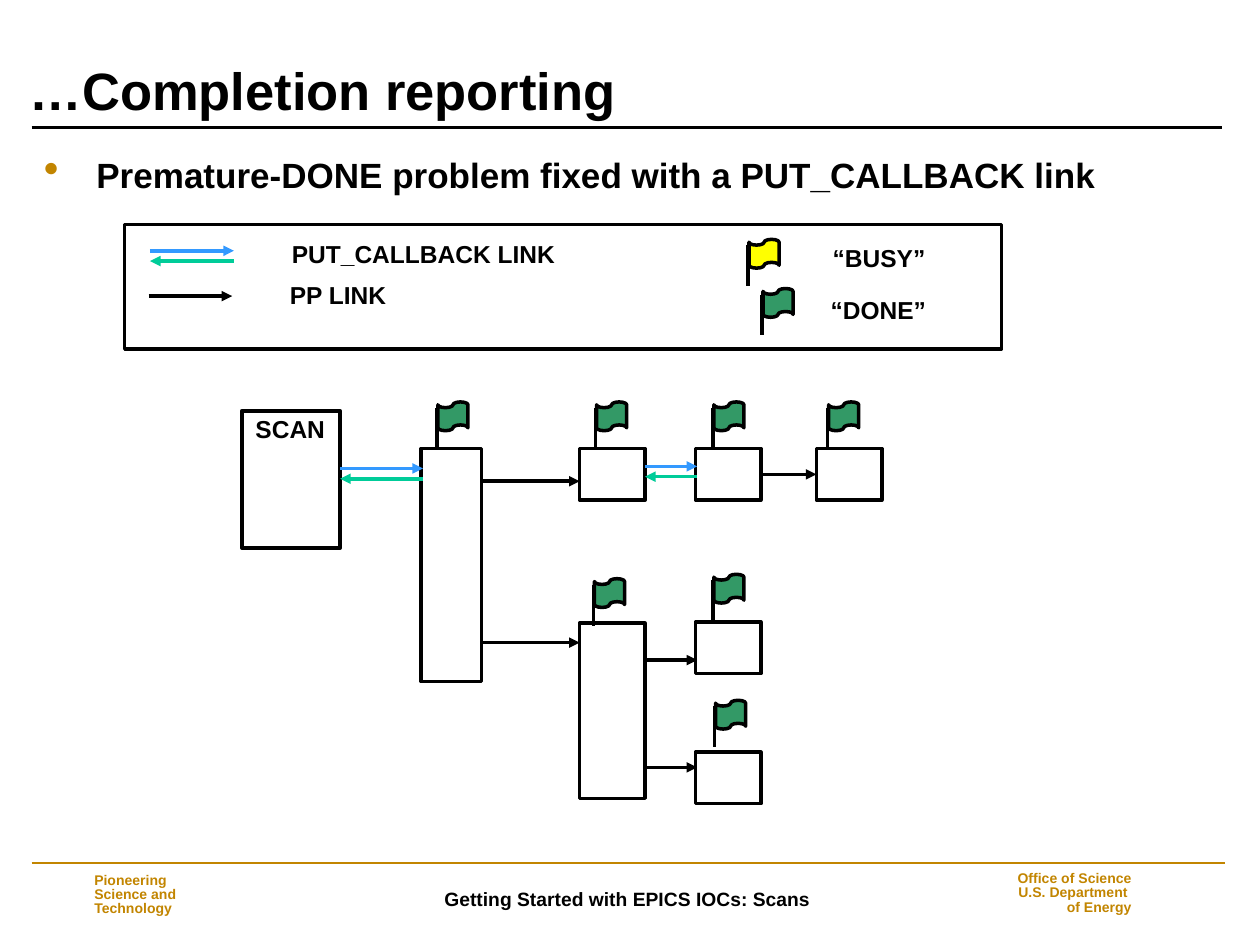
from lxml import etree
from pptx import Presentation
from pptx.dml.color import RGBColor
from pptx.enum import shapes, text
from pptx.oxml import ns
from pptx.util import Pt

BLACK = RGBColor(0x00, 0x00, 0x00)
GOLD = RGBColor(0xC2, 0x85, 0x00)
BLUE = RGBColor(0x33, 0x99, 0xFF)
TEAL = RGBColor(0x00, 0xCC, 0x99)
YELLOW = RGBColor(0xFF, 0xFF, 0x00)
GREEN = RGBColor(0x33, 0x99, 0x66)
ANCHOR = text.MSO_ANCHOR
ALIGN = text.PP_ALIGN
RIGHT_SIDE, LEFT_SIDE = 3, 1


def set_values(target, values):
    for name, value in values.items():
        setattr(target, name, value)


def add_child(parent, tag, **attributes):
    return etree.SubElement(parent, ns.qn(tag), attributes)


def add_bullet(paragraph):
    properties = paragraph._p.get_or_add_pPr()
    properties.set("marL", str(Pt(30)))
    properties.set("indent", str(Pt(-30)))
    color = add_child(properties, "a:buClr")
    add_child(color, "a:srgbClr", val=str(GOLD))
    add_child(properties, "a:buSzPct", val="125000")
    add_child(properties, "a:buChar", char="•")


def add_label(slide, box, lines, size, color=BLACK, anchor=ANCHOR.TOP,
              top_inset=3.6, bullet=False, **paragraph_format):
    label = slide.shapes.add_textbox(*map(Pt, box))
    frame = label.text_frame
    set_values(frame, {
        "word_wrap": True, "vertical_anchor": anchor, "margin_top": Pt(top_inset),
        "margin_bottom": Pt(3.6), "margin_left": Pt(7.2), "margin_right": Pt(7.2),
    })
    frame.text = lines
    for paragraph in frame.paragraphs:
        if bullet:
            add_bullet(paragraph)
        set_values(paragraph, paragraph_format)
        for run in paragraph.runs:
            set_values(run.font, {"name": "Arial", "size": Pt(size), "bold": True})
            run.font.color.rgb = color


def add_line(slide, start, end, color=BLACK, width=2, arrow=None):
    line = slide.shapes.add_connector(
        shapes.MSO_CONNECTOR.STRAIGHT, *map(Pt, (*start, *end)))
    line.line.color.rgb = color
    line.line.width = Pt(width)
    if arrow:
        add_child(line.line._get_or_add_ln(), arrow, type="triangle")
    add_child(line._element.spPr, "a:effectLst")
    return line


def add_arrow(slide, left, right, y, color=BLACK):
    return add_line(slide, (left, y), (right, y), color, arrow="a:tailEnd")


def add_callback_link(slide, left, right, y):
    add_arrow(slide, left, right, y, BLUE)
    add_line(slide, (left, y + 5.9), (right, y + 5.9), TEAL, arrow="a:headEnd")


def add_box(slide, box, fill=None, preset=shapes.MSO_SHAPE.RECTANGLE):
    shape = slide.shapes.add_shape(preset, *map(Pt, box))
    shape.shadow.inherit = False
    if fill is None:
        shape.fill.background()
    else:
        shape.fill.solid()
        shape.fill.fore_color.rgb = fill
    shape.line.color.rgb = BLACK
    shape.line.width = Pt(2)
    return shape


def add_flag(slide, left, top, color):
    add_box(slide, (left + 0.5, top, 17.2, 16.4), color,
            shapes.MSO_SHAPE.FLOWCHART_PUNCHED_TAPE)
    add_line(slide, (left, top + 3.4), (left, top + 26.8))


def add_heading(slide, left, top, width):
    add_label(slide, (left - 8, top, width + 9, 36), "…Completion reporting", 30,
              anchor=ANCHOR.BOTTOM, top_inset=0, line_spacing=0.9)
    add_line(slide, (left, top + 35.4), (left + width, top + 35.4), width=1.5)
    add_label(slide, (left, top + 46.8, width, 32),
              "Premature-DONE problem fixed with a PUT_CALLBACK link", 20, bullet=True)


def add_legend(slide, left, top, width, height):
    add_box(slide, (left, top, width, height))
    add_callback_link(slide, left + 14.4, left + 62.4, top + 15.1)
    add_arrow(slide, left + 13.6, left + 61.4, top + 41)
    add_flag(slide, left + 356.2, top + 8.6, YELLOW)
    add_flag(slide, left + 364.2, top + 36.7, GREEN)
    for x, y, label_width, label in (
        (88.4, 5, 188, "PUT_CALLBACK LINK"),
        (87.2, 28.3, 133, "PP LINK"),
        (397.4, 7.4, 76, "“BUSY”"),
        (396.2, 36.7, 76, "“DONE”"),
    ):
        add_label(slide, (left + x, top + y, label_width, 24.5), label, 14)


def add_record_chain(slide, left, top):
    scan_right = left + 56.2
    trunk, trunk_right = left + 102.5, left + 137
    first, second, third = left + 193, left + 259.2, left + 328.3
    record_width, record_height = 37.4, 29.5
    first_right, second_right = first + record_width, second + record_width
    row, branch_row, last_row = top + 21.6, top + 121.4, top + 195.1

    add_box(slide, (left, top, 56.2, 78.5))
    add_label(slide, (left + 0.7, top - 1.4, 57.6, 24.5), "SCAN", 14)

    records = []
    for x, y, width, height, flag_shift, flag_rise in (
        (trunk, row, 34.6, 133.2, 9, 26.6),
        (first, row, record_width, record_height, 9.2, 26.6),
        (second, row, record_width, record_height, 10, 26.6),
        (third, row, record_width, record_height, 6.5, 26.6),
        (first, branch_row, record_width, 100.1, 8, 25.4),
        (second, branch_row - 0.7, record_width, record_height, 10, 27.2),
        (second, last_row, record_width, record_height, 11, 29.6),
    ):
        records.append(add_box(slide, (x, y, width, height)))
        add_flag(slide, x + flag_shift, y - flag_rise, GREEN)

    add_callback_link(slide, scan_right, trunk + 1, top + 33)
    add_callback_link(slide, first_right, second + 1, top + 31.8)
    add_arrow(slide, trunk_right, first, top + 40.3)
    add_arrow(slide, trunk_right, first, top + 132.5)
    add_arrow(slide, first_right, second + 1, top + 142.5)
    add_arrow(slide, first_right, second + 1, top + 203.8)
    last_link = add_arrow(slide, second_right, third, row + record_height / 2)
    last_link.begin_connect(records[2], RIGHT_SIDE)
    last_link.end_connect(records[3], LEFT_SIDE)


def add_footer(slide, left, top, width):
    add_line(slide, (left, top), (left + width, top), GOLD, 1)
    add_label(slide, (left + 28.8, top + 2.2, 105, 32),
              "Pioneering\vScience and\vTechnology", 8, GOLD, ANCHOR.MIDDLE,
              line_spacing=0.85)
    add_label(slide, (left + 127.4, top + 2.9, 426.2, 34.6),
              "Getting Started with EPICS IOCs: Scans", 11, anchor=ANCHOR.MIDDLE,
              alignment=ALIGN.CENTER)
    add_label(slide, (left + 546.5, top + 1.4, 89.3, 32),
              "Office of Science\n U.S. Department \nof Energy", 8, GOLD, ANCHOR.MIDDLE,
              alignment=ALIGN.RIGHT, line_spacing=0.85)


def main():
    presentation = Presentation()
    set_values(presentation, {"slide_width": Pt(720), "slide_height": Pt(540)})
    slide = presentation.slides.add_slide(presentation.slide_layouts[6])
    add_footer(slide, 18, 493.2, 681.8)
    add_heading(slide, 18, 37.4, 680.4)
    add_record_chain(slide, 138.2, 234.7)
    add_legend(slide, 71.3, 128.2, 501.1, 71.3)
    presentation.save("out.pptx")


if __name__ == "__main__":
    main()
